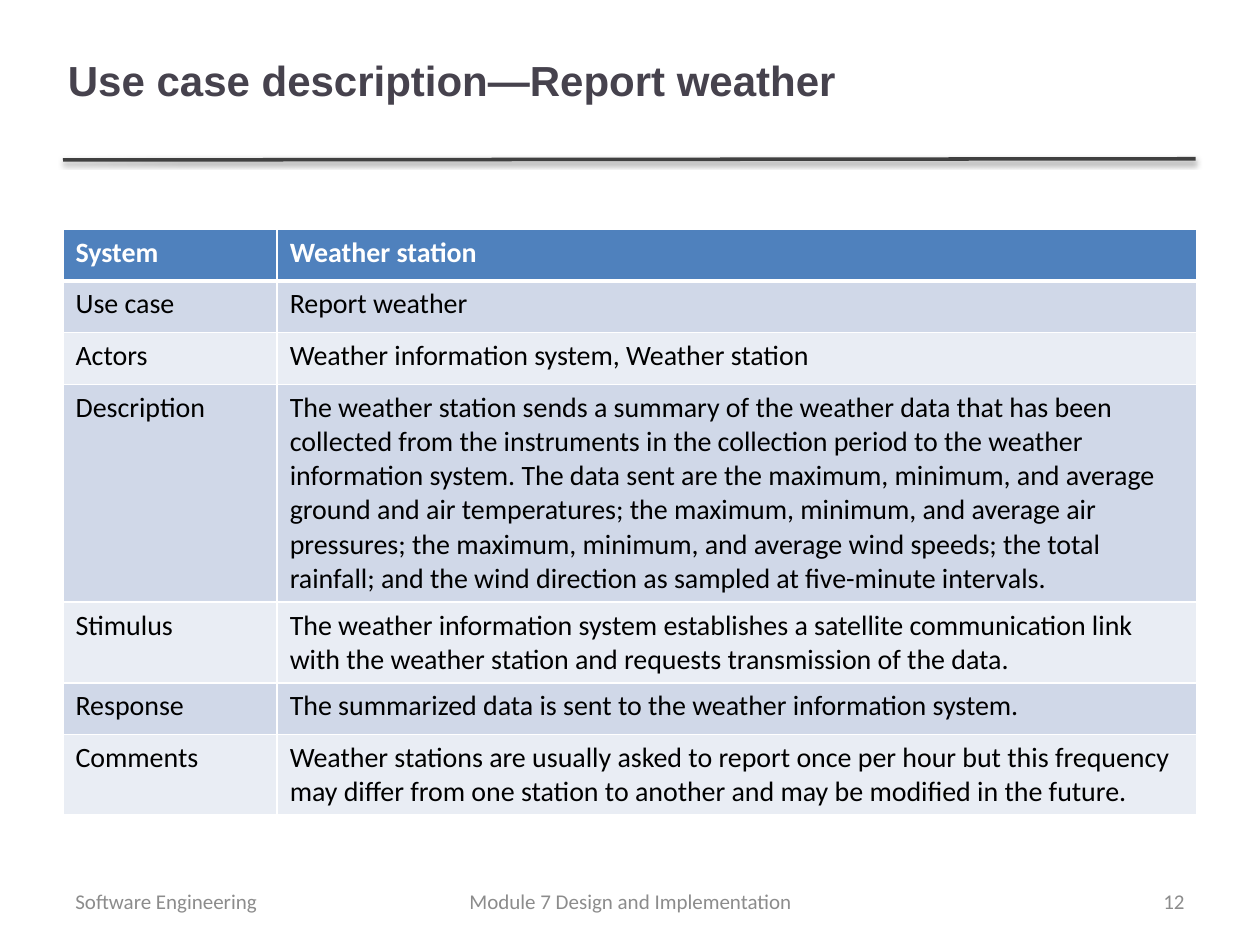
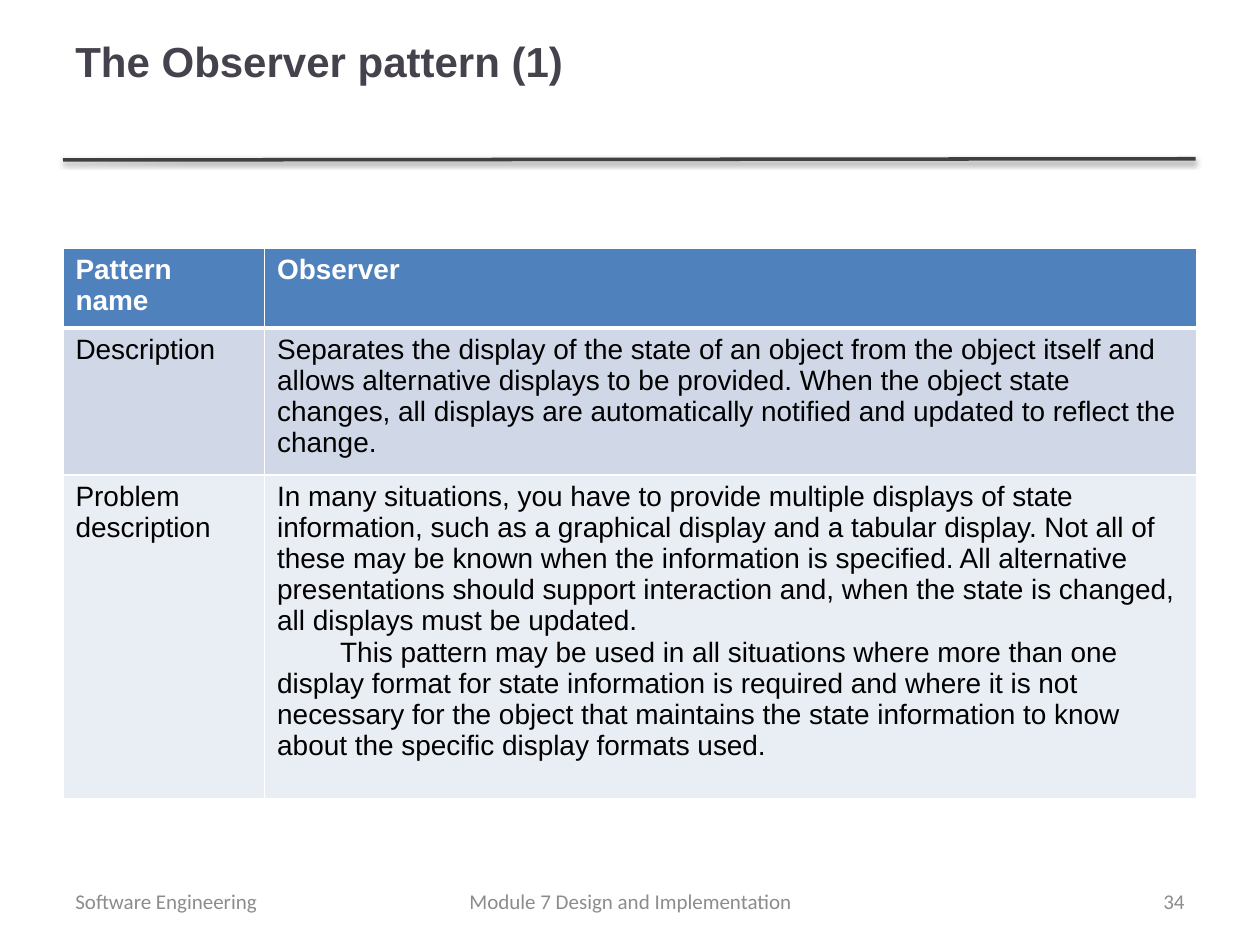
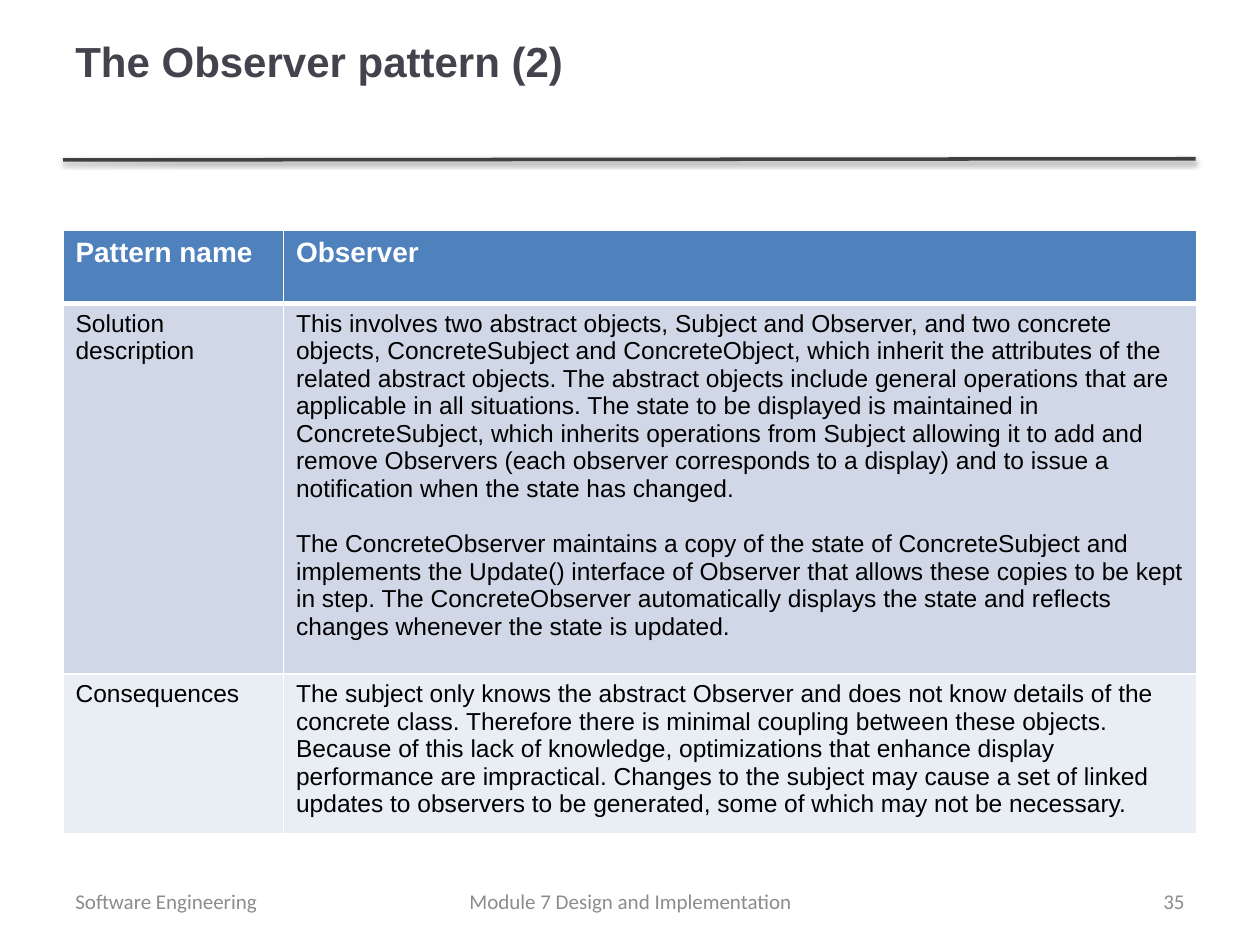
from lxml import etree
from pptx import Presentation
from pptx.dml.color import RGBColor
from pptx.enum import shapes, text
from pptx.oxml import ns
from pptx.util import Inches, Pt

WHITE = RGBColor(0xFF, 0xFF, 0xFF)
BLACK = RGBColor(0, 0, 0)
INK = RGBColor(0x46, 0x42, 0x4D)
RULE = RGBColor(0x40, 0x40, 0x40)
GRAY = RGBColor(0x8C, 0x8C, 0x8C)
BLUE = RGBColor(0x4F, 0x81, 0xBD)
BANDS = [RGBColor(0xE9, 0xED, 0xF4), RGBColor(0xD0, 0xD8, 0xE8)]

LEFT, WIDTH = 0.5, 9
ALIGN = text.PP_ALIGN

REPORT = [
    ["System", "Weather station"],
    ["Use case", "Report weather"],
    ["Actors", "Weather information system, Weather station"],
    ["Description",
     "The weather station sends a summary of the weather data that has been "
     "collected from the instruments in the collection period to the weather "
     "information system. The data sent are the maximum, minimum, and average "
     "ground and air temperatures; the maximum, minimum, and average air "
     "pressures; the maximum, minimum, and average wind speeds; the total "
     "rainfall; and the wind direction as sampled at five-minute intervals."],
    ["Stimulus",
     "The weather information system establishes a satellite communication "
     "link with the weather station and requests transmission of the data."],
    ["Response",
     "The summarized data is sent to the weather information system."],
    ["Comments",
     "Weather stations are usually asked to report once per hour but this "
     "frequency may differ from one station to another and may be modified in "
     "the future."],
]

PROBLEM = [
    ["Pattern name", "Observer"],
    ["Description",
     "Separates the display of the state of an object from the object itself "
     "and allows alternative displays to be provided. When the object state "
     "changes, all displays are automatically notified and updated to reflect "
     "the change."],
    ["Problem description",
     "In many situations, you have to provide multiple displays of state "
     "information, such as a graphical display and a tabular display. Not all "
     "of these may be known when the information is specified. All alternative "
     "presentations should support interaction and, when the state is changed, "
     "all displays must be updated.\n"
     "This pattern may be used in all situations where more than one display "
     "format for state information is required and where it is not necessary "
     "for the object that maintains the state information to know about the "
     "specific display formats used."],
]

SOLUTION = [
    ["Pattern name", "Observer"],
    ["Solution description",
     "This involves two abstract objects, Subject and Observer, and two "
     "concrete objects, ConcreteSubject and ConcreteObject, which inherit the "
     "attributes of the related abstract objects. The abstract objects include "
     "general operations that are applicable in all situations. The state to "
     "be displayed is maintained in ConcreteSubject, which inherits operations "
     "from Subject allowing it to add and remove Observers (each observer "
     "corresponds to a display) and to issue a notification when the state has "
     "changed.\n"
     "The ConcreteObserver maintains a copy of the state of ConcreteSubject "
     "and implements the Update() interface of Observer that allows these "
     "copies to be kept in step. The ConcreteObserver automatically displays "
     "the state and reflects changes whenever the state is updated."],
    ["Consequences",
     "The subject only knows the abstract Observer and does not know details "
     "of the concrete class. Therefore there is minimal coupling between these "
     "objects. Because of this lack of knowledge, optimizations that enhance "
     "display performance are impractical. Changes to the subject may cause a "
     "set of linked updates to observers to be generated, some of which may "
     "not be necessary."],
]


def style(frame, font, size, color, bold=False):
    for para in frame.paragraphs:
        for run in para.runs:
            run.font.name = font
            run.font.size = Pt(size)
            run.font.color.rgb = color
            run.font.bold = bold


def add_label(slide, words, box, font, size, color, bold=False,
              align=ALIGN.LEFT):
    frame = slide.shapes.add_textbox(*map(Inches, box)).text_frame
    frame.word_wrap = True
    frame.vertical_anchor = text.MSO_ANCHOR.MIDDLE
    frame.text = words
    frame.paragraphs[0].alignment = align
    style(frame, font, size, color, bold)


def add_rule(slide):
    """Draw the line under the title, with its soft shadow."""
    line = slide.shapes.add_connector(
        shapes.MSO_CONNECTOR.STRAIGHT,
        Inches(LEFT), Inches(1.27), Inches(9.49), Inches(1.26))
    line.line.color.rgb = RULE
    line.line.width = Pt(2)
    effects = etree.SubElement(line._element.spPr, ns.qn("a:effectLst"))
    shadow = etree.SubElement(
        effects, ns.qn("a:outerShdw"), blurRad=str(Pt(3.1)),
        dist=str(Pt(1.6)), dir="5400000", rotWithShape="0")
    color = etree.SubElement(shadow, ns.qn("a:srgbClr"), val=str(BLACK))
    etree.SubElement(color, ns.qn("a:alpha"), val="38000")


def add_footer(slide, number):
    parts = [
        ("Module 7 Design and Implementation", 3.42, 3.17, ALIGN.CENTER),
        (str(number), 7.17, 2.33, ALIGN.RIGHT),
        ("Software Engineering", LEFT, 2.33, ALIGN.LEFT),
    ]
    for words, left, width, align in parts:
        add_label(slide, words, (left, 6.95, width, 0.4), "Calibri", 12, GRAY,
                  align=align)


def add_slide(deck, title, box, number):
    slide = deck.slides.add_slide(deck.slide_layouts[6])
    add_rule(slide)
    add_label(slide, title, box, "Arial", 24, INK, bold=True)
    add_footer(slide, number)
    return slide


def set_edges(cell, top, bottom):
    """Give the cell white borders; must run before the fill is set."""
    props = cell._tc.get_or_add_tcPr()
    for side, width in zip("LRTB", (1, 1, top, bottom)):
        edge = etree.SubElement(props, ns.qn("a:ln" + side), w=str(Pt(width)))
        fill = etree.SubElement(edge, ns.qn("a:solidFill"))
        etree.SubElement(fill, ns.qn("a:srgbClr"), val=str(WHITE))


def add_grid(slide, rows, top, first, heights, font, size=16):
    """Add a two-column table; first is the width of the left column."""
    table = slide.shapes.add_table(
        len(rows), 2, Inches(LEFT), Inches(top), Inches(WIDTH),
        Inches(sum(heights))).table
    table.columns[0].width = Inches(first)
    table.columns[1].width = Inches(WIDTH - first)
    for i, (row, height) in enumerate(zip(rows, heights)):
        table.rows[i].height = Inches(height)
        head = i == 0
        for j, words in enumerate(row):
            cell = table.cell(i, j)
            set_edges(cell, 3 if i == 1 else 1, 3 if head else 1)
            cell.fill.solid()
            cell.fill.fore_color.rgb = BLUE if head else BANDS[i % 2]
            cell.text_frame.text = words
            style(cell.text_frame, font, 16 if head else size,
                  WHITE if head else BLACK, head)
    return table


def main():
    deck = Presentation()
    deck.slide_width, deck.slide_height = Inches(10), Inches(7.5)
    high = (LEFT, -0.14, WIDTH, 1.25)

    slide = add_slide(deck, "Use case description—Report weather",
                      (0.44, 0.01, 7.98, 1.25), 12)
    add_grid(slide, REPORT, 1.82, 1.7,
             [0.41, 0.41, 0.41, 1.73, 0.64, 0.41, 0.64], "Calibri")

    slide = add_slide(deck, "The Observer pattern (1)", high, 34)
    table = add_grid(slide, PROBLEM, 1.97, 1.6, [0.59, 1.09, 2.57], "Arial")
    usage = table.cell(2, 1).text_frame.paragraphs[1]
    usage._p.get_or_add_pPr().set("indent", str(Inches(0.5)))

    slide = add_slide(deck, "The Observer pattern (2)", high, 35)
    table = add_grid(slide, SOLUTION, 1.83, 1.75, [0.58, 2.94, 1.19], "Arial",
                     14)
    table.cell(1, 1).text_frame.paragraphs[1].space_before = Pt(16)

    deck.save("out.pptx")


if __name__ == "__main__":
    main()
